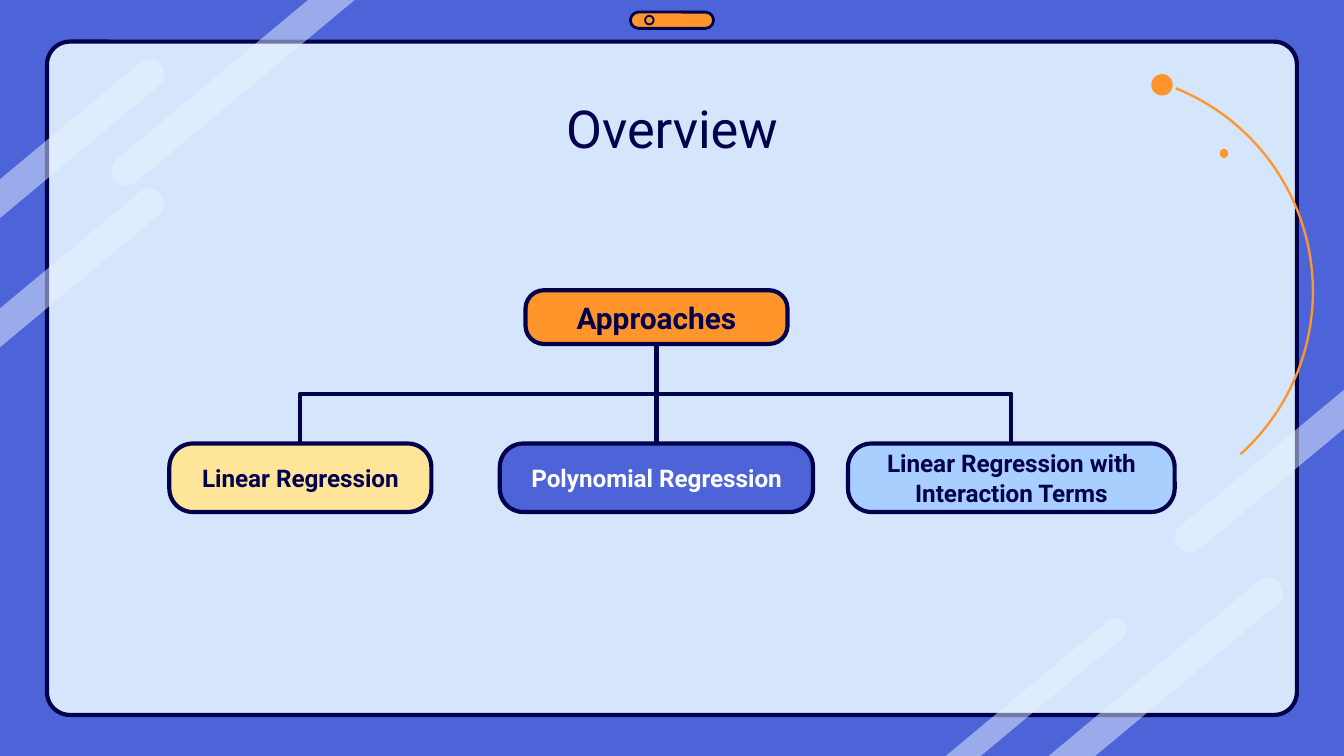
from math import cos, radians, sin

from lxml.etree import SubElement
from pptx import Presentation
from pptx.dml.color import RGBColor
from pptx.enum.shapes import MSO_CONNECTOR, MSO_SHAPE
from pptx.enum.text import MSO_ANCHOR, MSO_AUTO_SIZE, PP_ALIGN
from pptx.oxml.ns import qn
from pptx.util import Pt

WIDTH, HEIGHT = 720, 405
NAVY, BLUE, ORANGE, WHITE = "00004D", "4C64D8", "FF952B", "FFFFFF"
PANEL, STRIPE, SKY, YELLOW = "D5E6FC", "E9F3FF", "A8CFFF", "FFE599"
STRIPE_ANGLE = 39.8


def color(hex_value):
    """Turn a hex string into a colour."""
    return RGBColor.from_string(hex_value)


def style(shape, fill=None, line=None, line_width=2.25):
    """Set fill and outline, and drop the shadow."""
    shape.shadow.inherit = False
    if fill:
        shape.fill.solid()
        shape.fill.fore_color.rgb = color(fill)
    else:
        shape.fill.background()
    if line:
        shape.line.color.rgb = color(line)
        shape.line.width = Pt(line_width)
    else:
        shape.line.fill.background()


def add_preset(slide, kind, box, roundness=None, **look):
    """Add a styled preset shape."""
    shape = slide.shapes.add_shape(kind, *map(Pt, box))
    if roundness is not None:
        shape.adjustments[0] = roundness
    style(shape, **look)
    return shape


def add_outline(slide, points, close, **look):
    """Add a styled freeform through the points."""
    points = [(Pt(x), Pt(y)) for x, y in points]
    builder = slide.shapes.build_freeform(*points[0])
    builder.add_line_segments(points[1:], close=close)
    shape = builder.convert_to_shape()
    style(shape, **look)
    return shape


def arc_points(x, y, radius, start, end, steps=24):
    """List points on a circle between two angles in degrees."""
    angles = [radians(start + (end - start) * i / steps) for i in range(steps + 1)]
    return [(x + radius * cos(a), y + radius * sin(a)) for a in angles]


def add_stripe(slide, x, y, radius, heading, axis, edge):
    """Add a translucent stripe from a round cap to a slide edge."""
    points = arc_points(x, y, radius, heading + 90, heading + 270)
    direction = cos(radians(heading)), sin(radians(heading))

    def reach(point):
        """Follow the stripe direction to the edge."""
        distance = (edge - point[axis]) / direction[axis]
        return tuple(p + distance * d for p, d in zip(point, direction))

    points = [reach(points[0]), *points, reach(points[-1])]
    shape = add_outline(slide, points, True, fill=STRIPE)
    fill_color = shape.fill._xPr.find(qn("a:solidFill"))[0]
    SubElement(fill_color, qn("a:alpha"), val="50000")


def add_decoration(slide):
    """Add the panel, stripes, badge and orbit."""
    add_preset(slide, MSO_SHAPE.ROUNDED_RECTANGLE, (25.2, 22.3, 669.6, 360.7), 0.034,
               fill=PANEL, line=NAVY)
    down, up = 180 - STRIPE_ANGLE, -STRIPE_ANGLE
    for stripe in (
        (679.3, 317.5, 8, down, 1, HEIGHT),
        (597.4, 337.2, 6, down, 1, HEIGHT),
        (67.7, 91.5, 8, up, 1, 0),
        (80, 39.8, 8, down, 0, 0),
        (80, 109, 8, down, 0, 0),
        (637.5, 288, 8, up, 0, WIDTH),
    ):
        add_stripe(slide, *stripe)
    add_preset(slide, MSO_SHAPE.ROUNDED_RECTANGLE, (337.7, 6.5, 44.6, 8.7), 0.5,
               fill=ORANGE, line=NAVY, line_width=1.5)
    add_preset(slide, MSO_SHAPE.OVAL, (345.6, 8.5, 4.6, 4.6), line=NAVY, line_width=1)
    add_outline(slide, arc_points(586, 156.2, 117.4, -68, 48, 48), False,
                line=ORANGE, line_width=1.25)
    add_preset(slide, MSO_SHAPE.OVAL, (653.5, 79.7, 4.4, 5), fill=ORANGE)
    add_preset(slide, MSO_SHAPE.OVAL, (616.8, 39.7, 11.5, 11.5), fill=ORANGE)


def write_text(shape, text, size, text_color, bold, anchor):
    """Write one centred paragraph into a shape."""
    frame = shape.text_frame
    frame.text = text
    frame.word_wrap = True
    frame.auto_size = MSO_AUTO_SIZE.NONE
    frame.vertical_anchor = anchor
    frame.margin_left = frame.margin_right = Pt(7.2)
    frame.margin_top = frame.margin_bottom = Pt(7.2)
    paragraph = frame.paragraphs[0]
    paragraph.alignment = PP_ALIGN.CENTER
    font = paragraph.font
    font.name, font.size, font.bold = "Roboto", Pt(size), bold
    font.color.rgb = color(text_color)


def add_title(slide, text):
    """Fill the title placeholder and bring it in front of the panel."""
    title = slide.shapes.title
    title.left, title.top, title.width, title.height = map(Pt, (56.9, 44.6, 606.2, 45.4))
    write_text(title, text, 28, NAVY, False, MSO_ANCHOR.TOP)
    title.element.getparent().append(title.element)


def add_node(slide, text, box, fill, size=13, text_color=NAVY):
    """Add a rounded, labelled box of the tree."""
    node = add_preset(slide, MSO_SHAPE.ROUNDED_RECTANGLE, box, 0.343, fill=fill, line=NAVY)
    write_text(node, text, size, text_color, True, MSO_ANCHOR.MIDDLE)
    return node


def add_branch(slide, kind, start, start_site, end, end_site):
    """Join two nodes with a connector."""
    connector = slide.shapes.add_connector(kind, 0, 0, 0, 0)
    connector.begin_connect(start, start_site)
    connector.end_connect(end, end_site)
    connector.line.color.rgb = color(NAVY)
    connector.line.width = Pt(2.25)
    SubElement(connector.element.spPr, qn("a:effectLst"))
    return connector


def add_elbow(slide, child, parent):
    """Join a child's top to the parent's bottom by a turned elbow."""
    connector = add_branch(slide, MSO_CONNECTOR.ELBOW, child, 0, parent, 2)
    side = 1 if connector.begin_x < connector.end_x else -1
    center_x = (connector.begin_x + connector.end_x) // 2
    center_y = (connector.begin_y + connector.end_y) // 2
    half_drop, half_span = connector.height // 2, connector.width // 2
    connector.begin_x = center_x - side * half_drop
    connector.end_x = center_x + side * half_drop
    connector.begin_y = center_y - half_span
    connector.end_y = center_y + half_span
    turn = 270 if side == 1 else 90
    connector.element.spPr.find(qn("a:xfrm")).set("rot", str(turn * 60000))


def add_tree(slide):
    """Add the approaches and their branches."""
    top, height = 237.6, 36.7
    root = add_node(slide, "Approaches", (281.5, 155.5, 140.4, 28.8), ORANGE, 16)
    polynomial = add_node(slide, "Polynomial Regression", (267.8, top, 167.8, height),
                          BLUE, text_color=WHITE)
    interaction = add_node(slide, "Linear Regression with Interaction Terms",
                           (454.3, top, 175, height), SKY)
    linear = add_node(slide, "Linear Regression", (90.7, top, 140.4, height), YELLOW)
    add_branch(slide, MSO_CONNECTOR.STRAIGHT, root, 2, polynomial, 0)
    for child in (linear, interaction):
        add_elbow(slide, child, root)


def main():
    """Build and save the overview slide."""
    presentation = Presentation()
    presentation.slide_width, presentation.slide_height = Pt(WIDTH), Pt(HEIGHT)
    slide = presentation.slides.add_slide(presentation.slide_layouts[5])
    slide.background.fill.solid()
    slide.background.fill.fore_color.rgb = color(BLUE)
    add_decoration(slide)
    add_title(slide, "Overview")
    add_tree(slide)
    presentation.save("out.pptx")


if __name__ == "__main__":
    main()
